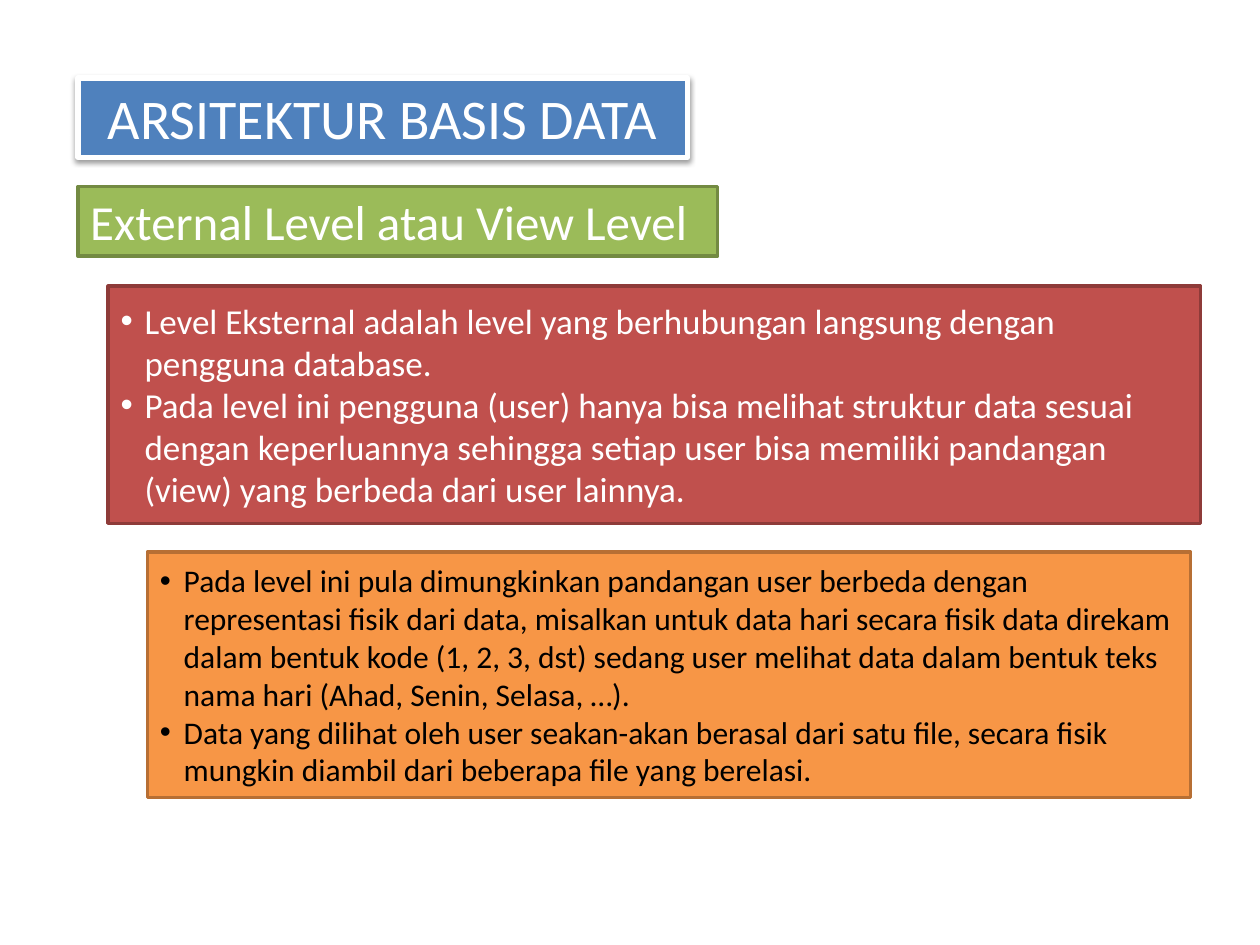
import pptx
import pptx.util
import pptx.dml.color
import pptx.enum.shapes
import pptx.enum.text
import pptx.oxml
import pptx.oxml.ns
from pptx.util import Cm

RGBColor = pptx.dml.color.RGBColor
WHITE = RGBColor(0xFF, 0xFF, 0xFF)
BLACK = RGBColor(0x00, 0x00, 0x00)
BLUE = RGBColor(0x4F, 0x81, 0xBD)
GREEN = RGBColor(0x9B, 0xBB, 0x59)
DARK_GREEN = RGBColor(0x73, 0x8A, 0x42)
RED = RGBColor(0xC0, 0x50, 0x4D)
DARK_RED = RGBColor(0x8E, 0x3B, 0x39)
ORANGE = RGBColor(0xF7, 0x96, 0x46)
DARK_ORANGE = RGBColor(0xB7, 0x6F, 0x34)

FONT = "Calibri"
HANGING = Cm(0.48)

LEVEL_POINTS = [
    "Level Eksternal adalah level yang berhubungan langsung dengan pengguna database.",
    "Pada level ini pengguna (user) hanya bisa melihat struktur data sesuai dengan "
    "keperluannya sehingga setiap user bisa memiliki pandangan (view) yang berbeda "
    "dari user lainnya.",
]
VIEW_POINTS = [
    "Pada level ini pula dimungkinkan pandangan user berbeda dengan representasi fisik "
    "dari data, misalkan untuk data hari secara fisik data direkam dalam bentuk kode "
    "(1, 2, 3, dst) sedang user melihat data dalam bentuk teks nama hari "
    "(Ahad, Senin, Selasa, …).",
    "Data yang dilihat oleh user seakan-akan berasal dari satu file, secara fisik "
    "mungkin diambil dari beberapa file yang berelasi.",
]


def style_box(sp, box, fill, line, width):
    """Place a shape in its box and give it a fill and an outline."""
    sp.left, sp.top, sp.width, sp.height = box
    sp.fill.solid()
    sp.fill.fore_color.rgb = fill
    sp.line.color.rgb = line
    sp.line.width = pptx.util.Pt(width)


def set_text(sp, lines, size, color, align):
    """Write one paragraph per line and format the runs."""
    tf = sp.text_frame
    tf.text = "\n".join(lines)
    tf.word_wrap = True
    tf.auto_size = pptx.enum.text.MSO_AUTO_SIZE.NONE
    tf.vertical_anchor = pptx.enum.text.MSO_ANCHOR.MIDDLE
    for p in tf.paragraphs:
        p.alignment = align
        p.space_before = pptx.util.Pt(0)
        for r in p.runs:
            r.font.name = FONT
            r.font.size = pptx.util.Pt(size)
            r.font.color.rgb = color


def add_shadow(sp):
    """Add a soft shadow below a shape."""
    sp._element.spPr.append(pptx.oxml.parse_xml(
        f'<a:effectLst {pptx.oxml.ns.nsdecls("a")}>'
        f'<a:outerShdw blurRad="{pptx.util.Pt(3.1)}" dist="{pptx.util.Pt(1.6)}" '
        'dir="5400000" rotWithShape="0">'
        '<a:srgbClr val="000000"><a:alpha val="38000"/></a:srgbClr>'
        '</a:outerShdw></a:effectLst>'))


def build_title(slide, box):
    """Build the slide title in its placeholder."""
    sp = slide.shapes.title
    style_box(sp, box, BLUE, WHITE, 3)
    add_shadow(sp)
    set_text(sp, ["ARSITEKTUR BASIS DATA"], 32, WHITE, pptx.enum.text.PP_ALIGN.CENTER)


def build_subtitle(slide, box):
    """Build the heading bar under the title."""
    sp = slide.shapes.add_shape(pptx.enum.shapes.MSO_SHAPE.RECTANGLE, *box)
    sp.shadow.inherit = False
    style_box(sp, box, GREEN, DARK_GREEN, 2)
    set_text(sp, ["External Level atau View Level"], 28, WHITE,
             pptx.enum.text.PP_ALIGN.LEFT)


def build_list(sp, box, points, size, color, fill, line):
    """Build a coloured bullet list in a body placeholder."""
    style_box(sp, box, fill, line, 2)
    set_text(sp, points, size, color, pptx.enum.text.PP_ALIGN.LEFT)
    for p in sp.text_frame.paragraphs:
        pPr = p._p.get_or_add_pPr()
        pPr.set("marL", str(HANGING))
        pPr.set("indent", str(-HANGING))
        pPr.append(pptx.oxml.parse_xml(
            f'<a:buFont {pptx.oxml.ns.nsdecls("a")} typeface="Arial"/>'))
        pPr.append(pptx.oxml.parse_xml(
            f'<a:buChar {pptx.oxml.ns.nsdecls("a")} char="•"/>'))


def main():
    """Build the slide and save it."""
    prs = pptx.Presentation()
    prs.slide_width, prs.slide_height = Cm(25.4), Cm(19.05)
    slide = prs.slides.add_slide(prs.slide_layouts.get_by_name("Two Content"))
    build_title(slide, (Cm(1.57), Cm(1.57), Cm(12.29), Cm(1.6)))
    build_subtitle(slide, (Cm(1.57), Cm(3.76), Cm(12.9), Cm(1.4)))
    build_list(slide.placeholders[1], (Cm(2.18), Cm(5.77), Cm(22.02), Cm(4.78)),
               LEVEL_POINTS, 20, WHITE, RED, DARK_RED)
    build_list(slide.placeholders[2], (Cm(2.97), Cm(11.13), Cm(21.03), Cm(4.95)),
               VIEW_POINTS, 18, BLACK, ORANGE, DARK_ORANGE)
    prs.save("out.pptx")


if __name__ == "__main__":
    main()
